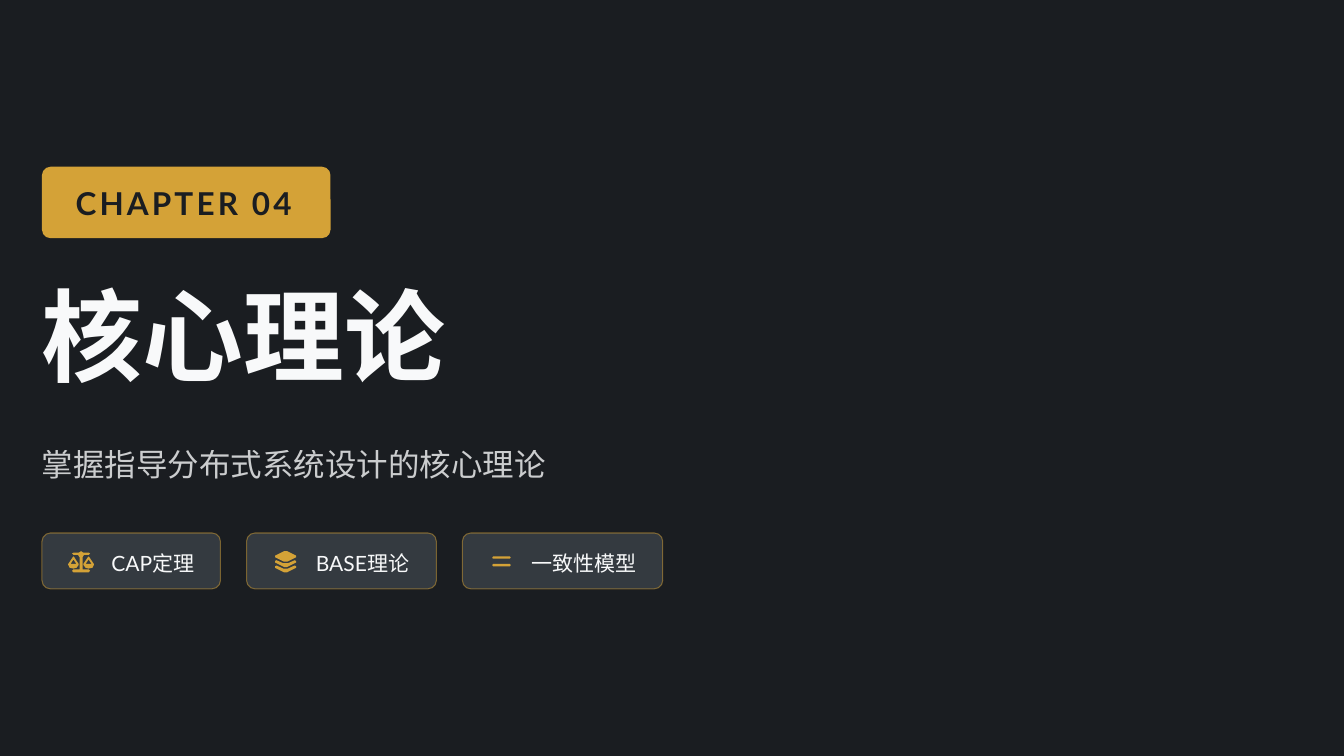
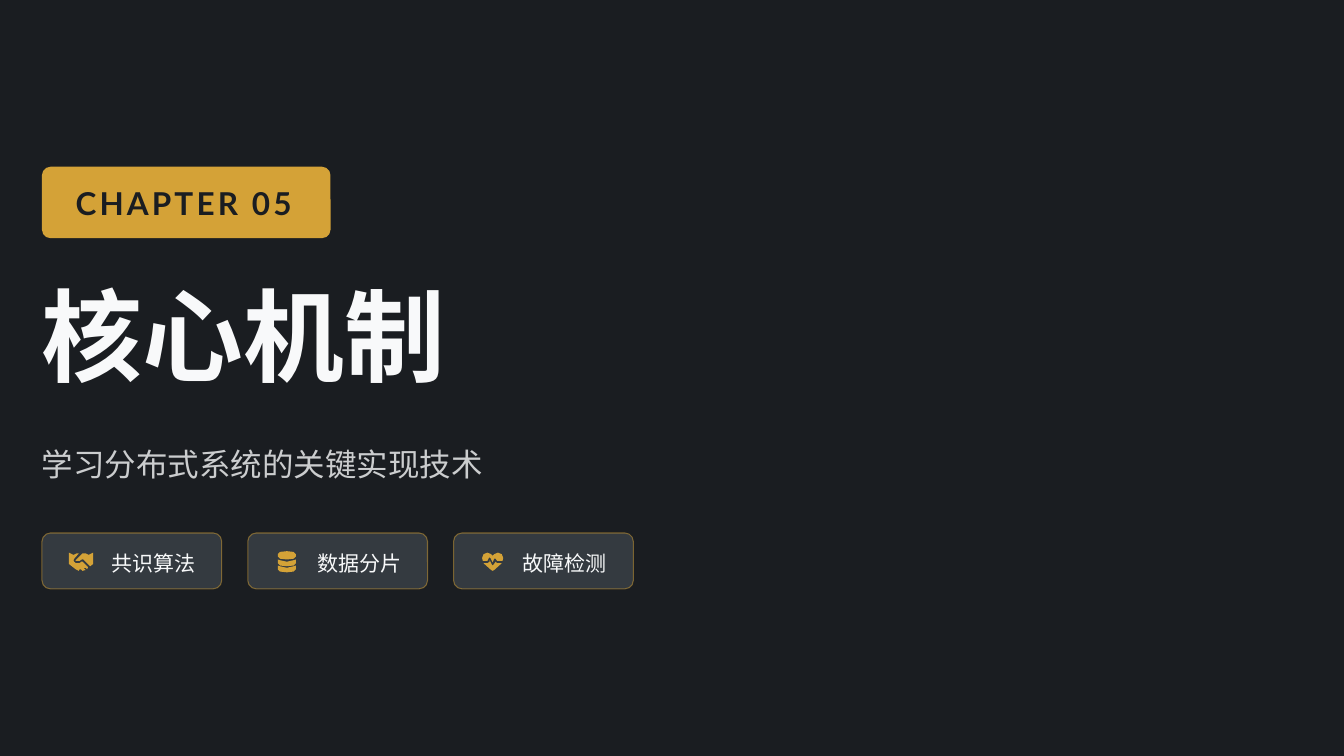
from dataclasses import dataclass
from lxml import etree
from pptx import Presentation, util as u
from pptx.dml.color import RGBColor
from pptx.enum import shapes, text
from pptx.oxml.ns import qn


@dataclass(frozen=True)
class Theme:
    font: str = "Lato"
    dark: str = "1A1D21"
    gold: str = "D4A237"
    card: str = "343A40"
    light: str = "F8F9FA"
    huge: int = 96
    big: int = 30
    small: int = 20


WIDE, HIGH = u.Inches(17.78), u.Inches(10)
COLS, ROWS = 32, 18
ROUND = 0.2        # corner radius, in grid rows
GAP = 0.62         # space between chips, in columns
TAG_TOP, TAG_HIGH = 12.69, 1.33


def flip(ring):
    return [(-x, y) for x, y in ring]


def drop(ring, dy):
    return [(x, y + dy) for x, y in ring]


# Icon outlines, in hundredths of an inch around the icon's centre.
POST = [(0, -14), (3, -12), (10, -12), (12, -11), (10, -9), (4, -9),
        (2, -6), (2, 10), (10, 10), (12, 12), (10, 14)]
PAN = [(10, -7), (11, -6), (17, 3), (17, 4), (15, 8), (10, 9),
       (6, 8), (3, 4), (3, 3), (9, -6)]
HOLE = [(6, 3), (10, -3), (14, 3)]
SHEET = [(-14, -8), (-2, -14), (2, -14), (14, -8),
         (14, -6), (2, 0), (-2, 0), (-14, -6)]
FOLD = [(-12, -2), (-3, 2), (3, 2), (12, -2), (14, -1),
        (14, 1), (2, 7), (-2, 7), (-14, 1), (-14, -1)]
BAR = [(-11, -7), (11, -7), (12, -6), (12, -5), (11, -4),
       (-11, -4), (-12, -5), (-12, -6)]
LID = [(-12, -10), (-9, -13), (0, -14), (9, -13), (12, -10),
       (12, -7), (9, -4), (0, -3), (-9, -4), (-12, -7)]
DISK = [(-12, -3), (-9, -2), (0, 0), (9, -2), (12, -3),
        (12, 2), (9, 5), (0, 6), (-9, 5), (-12, 2)]
ICONS = {
    "scales": [POST + flip(POST[:0:-1]), PAN, HOLE, flip(PAN), flip(HOLE)],
    "layers": [SHEET, FOLD, drop(FOLD, 7)],
    "equals": [BAR, drop(BAR, 10)],
    "hands": [
        [(0, -9), (-7, -2), (-7, -1), (-2, -1), (1, -3), (3, -3), (12, 6),
         (16, 3), (16, -12), (10, -9), (6, -11), (2, -11)],
        [(-9, -4), (-3, -11), (-6, -11), (-10, -9), (-16, -12), (-16, 3),
         (-7, 10), (-3, 12), (-2, 10), (0, 10), (2, 12), (6, 11), (4, 9),
         (4, 8), (6, 8), (8, 10), (9, 8), (9, 7), (2, 0), (0, 0), (-2, 2),
         (-7, 2), (-9, 0), (-10, -2)]],
    "disks": [LID, DISK, drop(DISK, 8)],
    "heart": [
        [(0, -8), (-2, -10), (-7, -12), (-12, -10), (-14, -5), (-13, -1),
         (-7, -1), (-5, -5), (-4, -6), (-3, -5), (0, 1), (2, -4), (4, -4),
         (6, -1), (13, -1), (14, -5), (12, -10), (7, -12), (2, -10)],
        [(12, 2), (6, 2), (4, 0), (1, 4), (0, 5), (-1, 4), (-4, -2), (-4, 0),
         (-7, 2), (-12, 2), (-2, 11), (0, 12), (2, 11)]],
}


class Deck:
    def __init__(self, theme):
        self.theme = theme
        self.prs = Presentation()
        self.prs.slide_width, self.prs.slide_height = WIDE, HIGH
        self.slide = None

    def page(self):
        self.slide = self.prs.slides.add_slide(self.prs.slide_layouts[6])
        self.paint(self.slide.background.fill, self.theme.dark)

    def grid(self, x, y, w, h):
        return [round(n) for n in (x * WIDE / COLS, y * HIGH / ROWS,
                                   w * WIDE / COLS, h * HIGH / ROWS)]

    def paint(self, fill, tint, alpha=100):
        """Fill with one colour; alpha is its opacity in percent."""
        fill.solid()
        fill.fore_color.rgb = RGBColor.from_string(tint)
        if alpha < 100:
            node = next(fill._xPr.iter(qn("a:srgbClr")))
            etree.SubElement(node, qn("a:alpha")).set("val", str(alpha * 1000))

    def box(self, x, y, w, h, tint, edge=None):
        shape = self.slide.shapes.add_shape(
            shapes.MSO_SHAPE.ROUNDED_RECTANGLE, *self.grid(x, y, w, h))
        shape.adjustments[0] = ROUND / min(w, h)
        shape.shadow.inherit = False
        self.paint(shape.fill, tint)
        if edge:
            shape.line.width = u.Pt(1)
            self.paint(shape.line.fill, edge, 50)
        else:
            shape.line.fill.background()

    def label(self, x, y, w, h, words, size, tint, bold=False,
              lead=None, track=0, alpha=100):
        """Place one line of text; track is letter spacing in points."""
        frame = self.slide.shapes.add_textbox(
            *self.grid(x, y, w, h)).text_frame
        frame.word_wrap = True
        frame.vertical_anchor = text.MSO_ANCHOR.MIDDLE
        frame.margin_left = frame.margin_right = 0
        frame.margin_top = frame.margin_bottom = 0
        para = frame.paragraphs[0]
        if lead:
            para.line_spacing = lead
        run = para.add_run()
        run.text = words
        font = run.font
        font.name, font.size, font.bold = self.theme.font, u.Pt(size), bold
        self.paint(font.fill, tint, alpha)
        props = run._r.get_or_add_rPr()
        props.set("lang", "zh-CN")
        if track:
            props.set("spc", str(track * 100))

    def icon(self, name, x, y):
        """Draw an icon centred on a grid point."""
        left, top, _, _ = self.grid(x, y, 0, 0)
        first, *rest = ICONS[name]
        pen = self.slide.shapes.build_freeform(*first[0], u.Inches(0.01))
        pen.add_line_segments(first[1:], close=True)
        for ring in rest:
            pen.move_to(*ring[0])
            pen.add_line_segments(ring[1:], close=True)
        shape = pen.convert_to_shape(left, top)
        shape.shadow.inherit = False
        self.paint(shape.fill, self.theme.gold)
        shape.line.fill.background()

    def chip(self, x, w, name, words):
        t = self.theme
        self.box(x, TAG_TOP, w, TAG_HIGH, t.card, t.gold)
        self.icon(name, x + 0.93, TAG_TOP + TAG_HIGH / 2 + 0.02)
        self.label(x + 1.65, 13.01, w - 2, 0.67, words, t.small, t.light,
                   lead=1.2)

    def cover(self, num, title, note, chips):
        """Build a chapter opener; chips hold icon, words and width."""
        t = self.theme
        self.page()
        self.box(1, 3.97, 6.87, 1.7, t.gold)
        self.label(1.8, 4.32, 5.63, 1, f"CHAPTER {num:02}", t.big, t.dark,
                   bold=True, track=3)
        self.label(1, 6.46, 31, 3, title, t.huge, t.light, bold=True)
        self.label(1, 10.26, 19.58, 1.22, note, t.big, t.light,
                   lead=1.4, alpha=80)
        x = 1
        for name, words, w in chips:
            self.chip(x, w, name, words)
            x += w + GAP


def main():
    deck = Deck(Theme())
    deck.cover(4, "核心理论", "掌握指导分布式系统设计的核心理论", [
        ("scales", "CAP定理", 4.25),
        ("layers", "BASE理论", 4.52),
        ("equals", "一致性模型", 4.77)])
    deck.cover(5, "核心机制", "学习分布式系统的关键实现技术", [
        ("hands", "共识算法", 4.28),
        ("disks", "数据分片", 4.28),
        ("heart", "故障检测", 4.28)])
    deck.prs.save("out.pptx")


if __name__ == "__main__":
    main()
